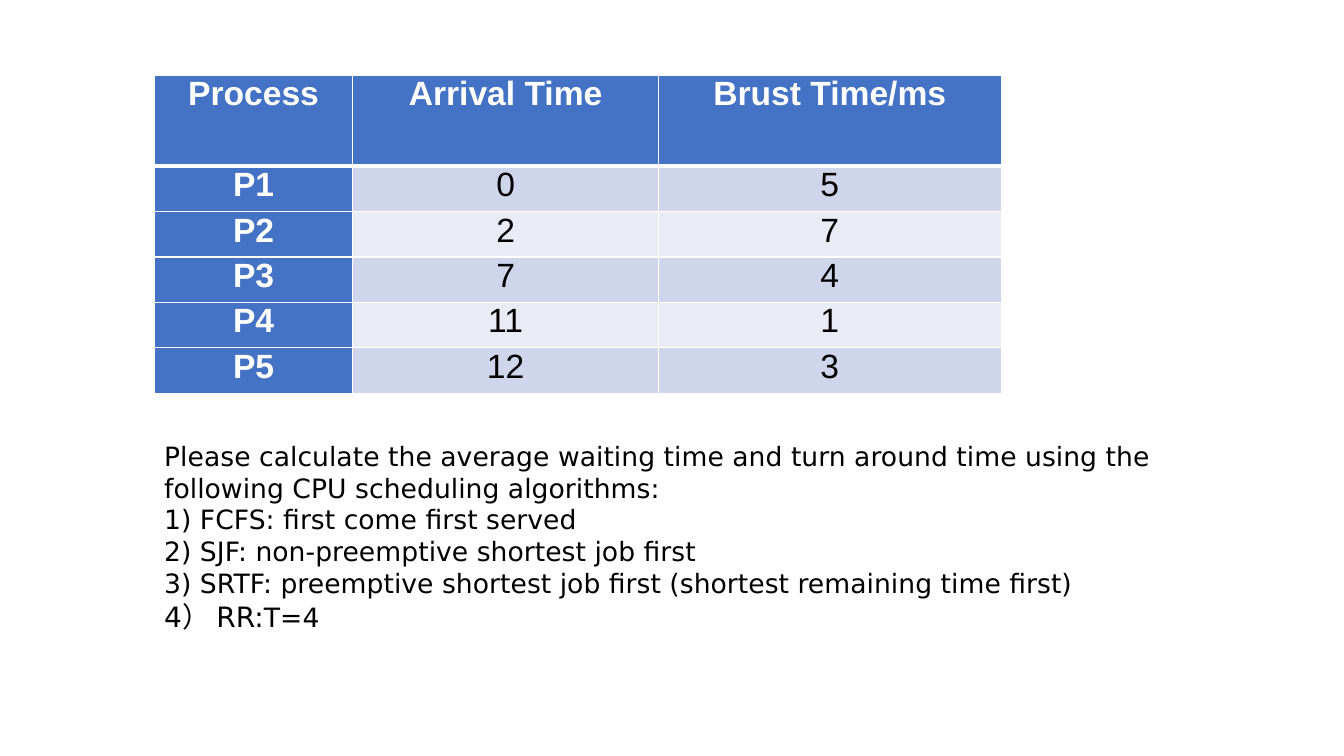
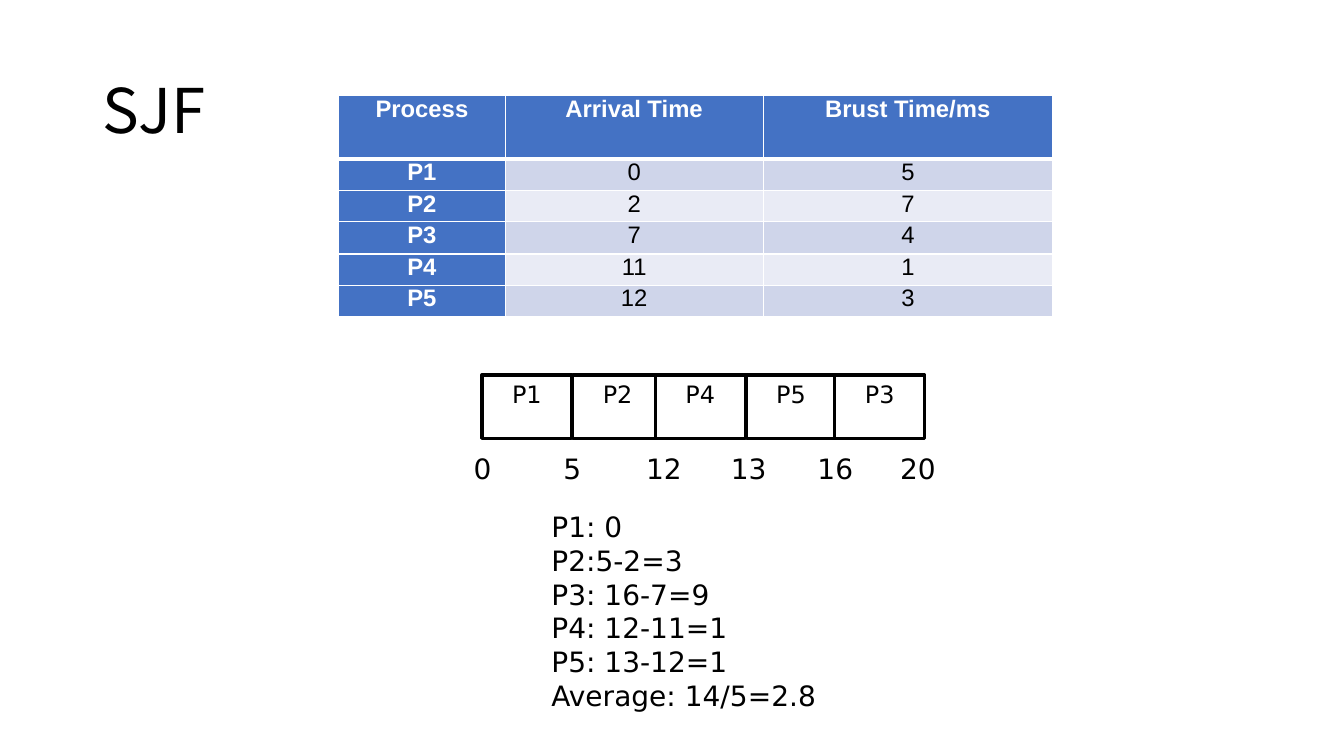
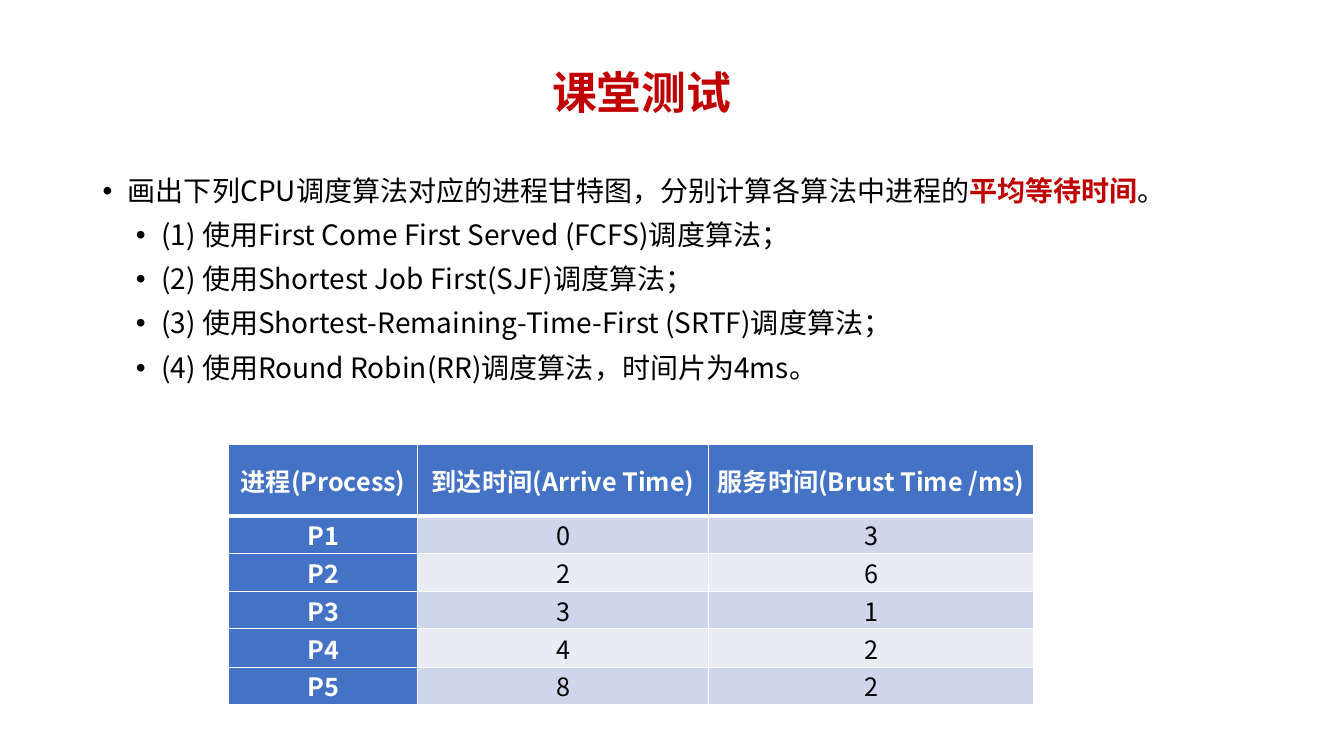
from lxml import etree
from pptx import Presentation
from pptx import util as u
from pptx.dml import color
from pptx.enum import shapes, text
from pptx.oxml import ns

PX = 9144
COLORS = {
    "ink": "000000",
    "paper": "FFFFFF",
    "head": "4472C4",
    "odd": "CFD5EA",
    "even": "E9EBF5",
    "accent": "C00000",
}
LATIN, WIDE, CJK = "Arial", "DejaVu Sans", "Noto Sans CJK SC"
CENTER = text.PP_ALIGN.CENTER
JUSTIFY = text.PP_ALIGN.JUSTIFY
MIDDLE = text.MSO_ANCHOR.MIDDLE
TOP = text.MSO_ANCHOR.TOP
TIGHT = 0.9

ENGLISH_TIMES = [
    ("Process", "Arrival Time", "Brust Time/ms"),
    ("P1", "0", "5"),
    ("P2", "2", "7"),
    ("P3", "7", "4"),
    ("P4", "11", "1"),
    ("P5", "12", "3"),
]
CHINESE_TIMES = [
    ("进程(Process)", "到达时间(Arrive Time)", "服务时间(Brust Time /ms)"),
    ("P1", "0", "3"),
    ("P2", "2", "6"),
    ("P3", "3", "1"),
    ("P4", "4", "2"),
    ("P5", "8", "2"),
]
QUESTION = [
    "Please calculate the average waiting time and turn around time using the "
    "following CPU scheduling algorithms:",
    "1) FCFS: first come first served",
    "2) SJF: non-preemptive shortest job first",
    "3) SRTF: preemptive shortest job first (shortest remaining time first)",
]
WAITING = [
    "P1: 0",
    "P2:5-2=3",
    "P3: 16-7=9",
    "P4: 12-11=1",
    "P5: 13-12=1",
    "Average: 14/5=2.8",
]
GANTT = [("P1", 478), ("P2", 568), ("P4", 650), ("P5", 740), ("P3", 828)]
MOMENTS = [("0", 460), ("5", 549), ("12", 631), ("13", 715), ("16", 801), ("20", 883)]
TASKS = [
    "(1) 使用First Come First Served (FCFS)调度算法；",
    "(2) 使用Shortest Job First(SJF)调度算法；",
    "(3) 使用Shortest-Remaining-Time-First (SRTF)调度算法；",
    "(4) 使用Round Robin(RR)调度算法，时间片为4ms。",
]


def px(*lengths):
    return [u.Emu(length * PX) for length in lengths]


def rgb(name):
    return color.RGBColor.from_string(COLORS[name])


def apply(target, **values):
    for key, value in values.items():
        setattr(target, key, value)


def add_run(paragraph, words, size, face, ink="ink", bold=False):
    run = paragraph.add_run()
    run.text = words
    run.font.color.rgb = rgb(ink)
    apply(run.font, size=u.Pt(size), name=face, bold=bold)
    east_asian = etree.SubElement(run._r.get_or_add_rPr(), ns.qn("a:ea"))
    east_asian.set("typeface", CJK)


def next_paragraph(frame, **values):
    first = frame.paragraphs[0]
    paragraph = frame.add_paragraph() if first.runs else first
    apply(paragraph, **values)
    return paragraph


def add_text(slide, box, lines=(), size=20, face=WIDE, layout=None, **frame_values):
    frame = slide.shapes.add_textbox(*px(*box)).text_frame
    apply(frame, **{"word_wrap": True, **frame_values})
    for line in lines:
        add_run(next_paragraph(frame, **(layout or {})), line, size, face)
    return frame


def set_borders(cell, widths):
    properties = cell._tc.get_or_add_tcPr()
    for place, (side, width) in enumerate(widths.items()):
        line = etree.Element(ns.qn(f"a:ln{side}"), w=str(u.Pt(width)))
        fill = etree.SubElement(line, ns.qn("a:solidFill"))
        etree.SubElement(fill, ns.qn("a:srgbClr"), val=COLORS["paper"])
        properties.insert(place, line)


def add_times(slide, corner, widths, heights, entries, size, face, anchor):
    box = px(*corner, sum(widths), sum(heights))
    table = slide.shapes.add_table(len(entries), len(widths), *box).table
    apply(table, first_row=False, horz_banding=False)
    for column, width in zip(table.columns, px(*widths)):
        column.width = width
    for row, height in zip(table.rows, px(*heights)):
        row.height = height
    side, none = px(7, 0)
    for r, entry in enumerate(entries):
        for c, words in enumerate(entry):
            heading = r == 0 or c == 0
            cell = table.cell(r, c)
            apply(cell, margin_left=side, margin_right=side, margin_top=none,
                  margin_bottom=none, vertical_anchor=anchor)
            cell.fill.solid()
            cell.fill.fore_color.rgb = rgb("head" if heading else "odd" if r % 2 else "even")
            set_borders(cell, {"L": 1, "R": 1, "T": 3 if r == 1 else 1, "B": 3 if r == 0 else 1})
            paragraph = next_paragraph(cell.text_frame, alignment=CENTER)
            add_run(paragraph, words, size, face, "paper" if heading else "ink", heading)


def add_gantt(slide):
    for process, left in GANTT:
        block = slide.shapes.add_shape(shapes.MSO_SHAPE.RECTANGLE, *px(left, 372, 89, 63))
        block.shadow.inherit = False
        block.fill.solid()
        block.fill.fore_color.rgb = rgb("paper")
        block.line.color.rgb = rgb("ink")
        block.line.width = u.Pt(2.25)
        apply(block.text_frame, word_wrap=False, vertical_anchor=TOP)
        add_run(next_paragraph(block.text_frame, alignment=CENTER), process, 17.1, WIDE)
    for moment, left in MOMENTS:
        add_text(slide, (left, 443, 20 + 18 * len(moment), 44), [moment], word_wrap=False)


def add_bullet(frame, indent, **values):
    paragraph = next_paragraph(frame, line_spacing=TIGHT, **values)
    properties = paragraph._p.get_or_add_pPr()
    properties.set("marL", str(indent * PX))
    properties.set("indent", str(-25 * PX))
    font = etree.SubElement(properties, ns.qn("a:buFont"))
    font.set("typeface", LATIN)
    etree.SubElement(properties, ns.qn("a:buChar")).set("char", "•")
    return paragraph


def build_question(slide):
    add_times(slide, (153, 75), (197, 303, 340), [90] + [45] * 5, ENGLISH_TIMES, 24, LATIN, TOP)
    frame = add_text(slide, (153, 431, 1011, 204), QUESTION, 19.05)
    round_robin = next_paragraph(frame)
    add_run(round_robin, "4） RR:", 20, WIDE)
    add_run(round_robin, "T=4", 19.05, WIDE)


def build_shortest_job(slide):
    add_text(slide, (92, 40, 1150, 145), ["SJF"], 44, CJK, {"line_spacing": TIGHT},
             vertical_anchor=MIDDLE)
    add_times(slide, (336, 95), (165, 256, 287), (63, 31, 31, 32, 31, 31),
              ENGLISH_TIMES, 17, LATIN, TOP)
    add_gantt(slide)
    add_text(slide, (537, 501, 292, 212), WAITING, word_wrap=False)


def build_class_test(slide):
    frame = add_text(slide, (92, 65, 1089, 610))
    heading = next_paragraph(frame, alignment=CENTER, line_spacing=TIGHT)
    add_run(heading, "课堂测试", 32, CJK, "accent", True)
    task = add_bullet(frame, 25, space_before=u.Pt(41.5))
    add_run(task, "画出下列CPU调度算法对应的进程甘特图，分别计算各算法中进程的", 20, CJK)
    add_run(task, "平均等待时间", 20, CJK, "accent", True)
    add_run(task, "。", 20, CJK)
    for words in TASKS:
        bullet = add_bullet(frame, 58, space_before=u.Pt(10), alignment=JUSTIFY)
        add_run(bullet, words, 20, CJK)
    add_times(slide, (227, 441), (187, 289, 322), (71, 37, 38, 37, 38, 37),
              CHINESE_TIMES, 18, CJK, MIDDLE)


def main():
    deck = Presentation()
    deck.slide_width, deck.slide_height = px(1333, 750)
    for build in (build_question, build_shortest_job, build_class_test):
        build(deck.slides.add_slide(deck.slide_layouts[6]))
    deck.save("out.pptx")


if __name__ == "__main__":
    main()
